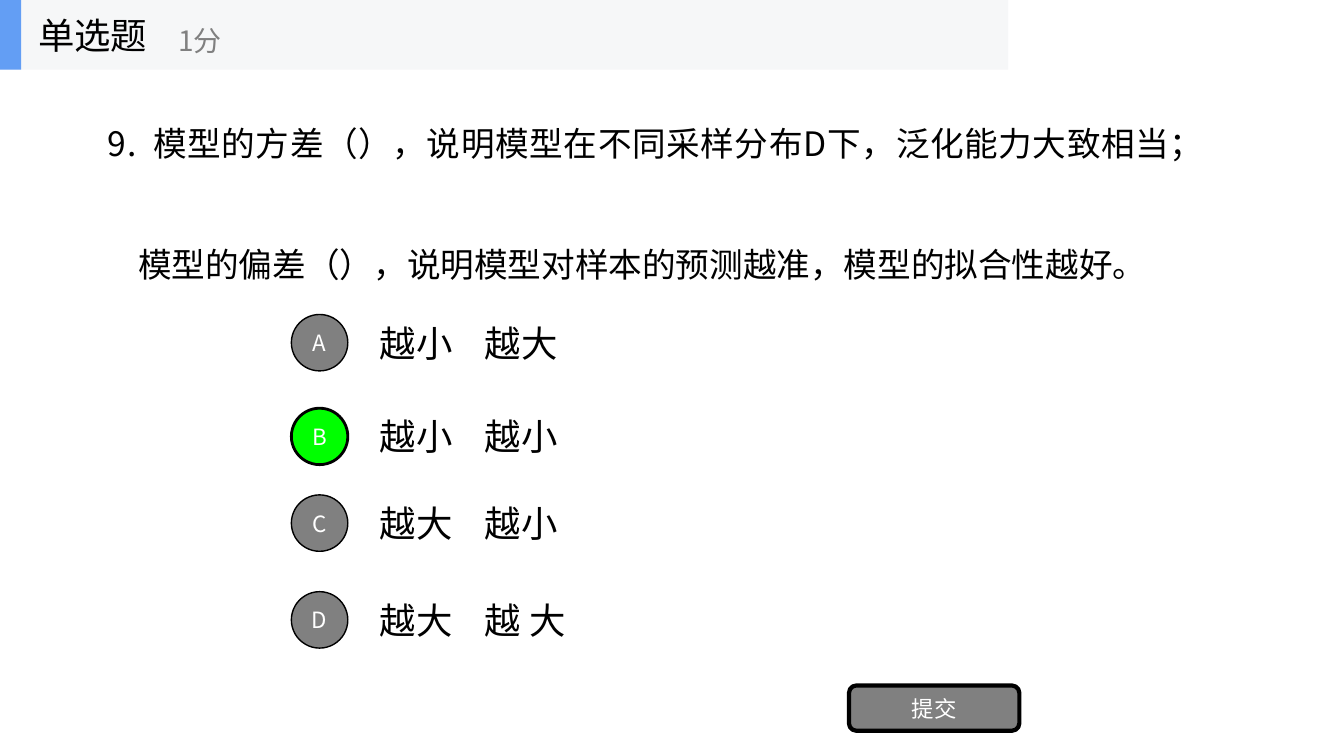
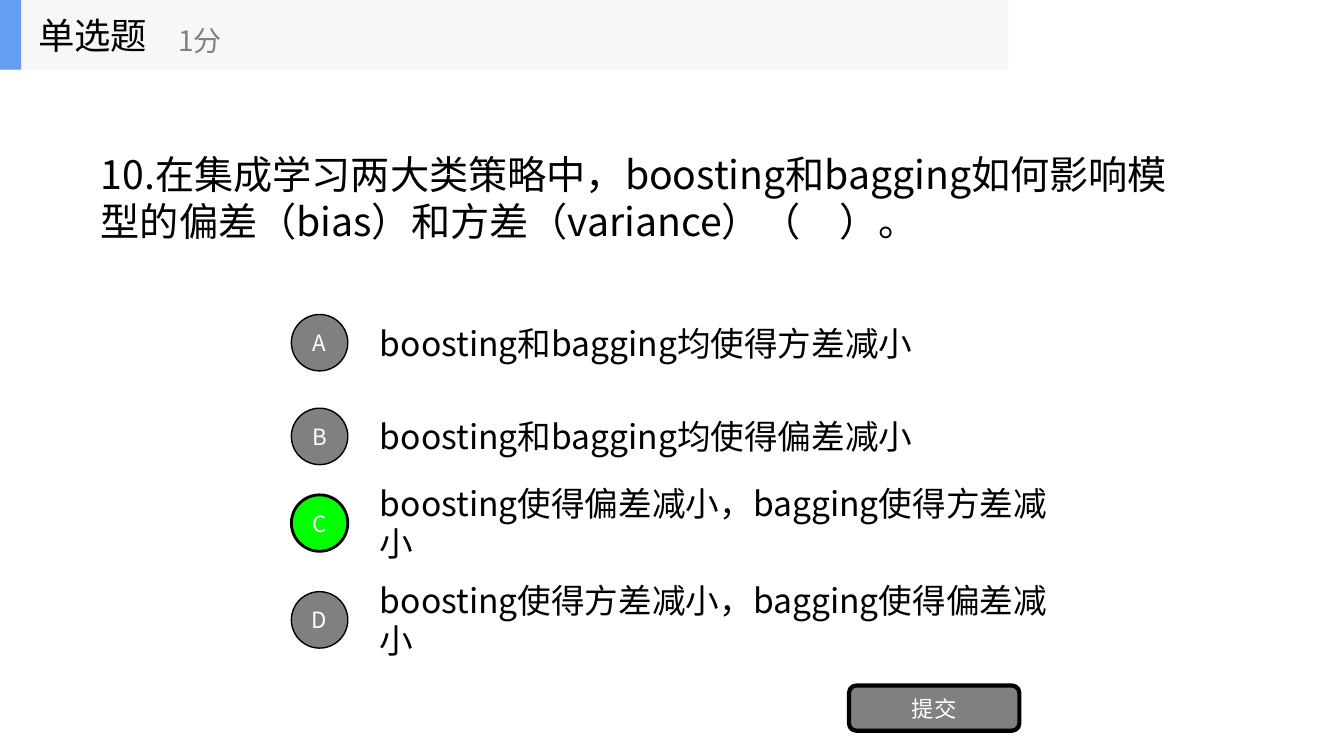
from pptx import Presentation
from pptx.dml.color import RGBColor
from pptx.enum import shapes, text
from pptx.oxml.ns import qn
from pptx.util import Inches, Pt
from lxml import etree

FONT = "Noto Sans CJK SC"
BLACK = RGBColor(0x00, 0x00, 0x00)
WHITE = RGBColor(0xFF, 0xFF, 0xFF)
GRAY = RGBColor(0x80, 0x80, 0x80)
CORRECT_GREEN = RGBColor(0x00, 0xFF, 0x00)
BAND_GRAY = RGBColor(0xF6, 0xF7, 0xF8)
ACCENT_BLUE = RGBColor(0x63, 0x9E, 0xF4)

TITLE_ONLY = 5
BAND_HEIGHT = 0.69
OPTION_MIDDLES = (3.4, 4.33, 5.19, 6.15)
OPTION_HEIGHT = 0.7
CIRCLE_SIZE = 0.56


class QuizDeck:
    """Holds the quiz style and the slide being built."""

    def __init__(self):
        self.presentation = Presentation()
        self.presentation.slide_width = Inches(13.33)
        self.presentation.slide_height = Inches(7.5)
        self.slide = None

    def new_slide(self):
        layout = self.presentation.slide_layouts[TITLE_ONLY]
        self.slide = self.presentation.slides.add_slide(layout)

    def add_words(self, paragraph, words, size, color=BLACK,
                  align=text.PP_ALIGN.LEFT, tab=None, spacing=0):
        """Add one run; tab is a stop in inches, spacing is in points."""
        paragraph.alignment = align
        if tab:
            tab_list = etree.SubElement(paragraph._p.get_or_add_pPr(), qn("a:tabLst"))
            etree.SubElement(tab_list, qn("a:tab"), pos=str(Inches(tab)), algn="l")
        run = paragraph.add_run()
        run.text = words
        run.font.size = Pt(size)
        run.font.color.rgb = color
        run.font.name = FONT
        properties = run.font._element
        east_asian = etree.Element(qn("a:ea"), typeface=FONT)
        properties.find(qn("a:latin")).addnext(east_asian)
        if spacing:
            properties.set("spc", str(round(spacing * 100)))

    def prepare_frame(self, shape):
        frame = shape.text_frame
        frame.word_wrap = True
        frame.auto_size = text.MSO_AUTO_SIZE.NONE
        frame.vertical_anchor = text.MSO_ANCHOR.MIDDLE
        return frame

    def label(self, box, words, size, color=BLACK, tab=None):
        shape = self.slide.shapes.add_textbox(*map(Inches, box))
        frame = self.prepare_frame(shape)
        self.add_words(frame.paragraphs[0], words, size, color, tab=tab)

    def block(self, kind, box, fill, line_width=0, words=""):
        shape = self.slide.shapes.add_shape(kind, *map(Inches, box))
        shape.shadow.inherit = False
        shape.fill.solid()
        shape.fill.fore_color.rgb = fill
        if line_width:
            shape.line.color.rgb = BLACK
            shape.line.width = Pt(line_width)
        else:
            shape.line.fill.background()
        if words:
            frame = self.prepare_frame(shape)
            self.add_words(frame.paragraphs[0], words, 16, WHITE, text.PP_ALIGN.CENTER)

    def question(self, box, size, lines):
        """Fill the title; each line is (words, indent, options for add_words)."""
        title = self.slide.shapes.title
        title.left, title.top, title.width, title.height = map(Inches, box)
        frame = self.prepare_frame(title)
        for index, (words, indent, options) in enumerate(lines):
            paragraph = frame.add_paragraph() if index else frame.paragraphs[0]
            if index:
                paragraph.space_before = Pt(58)
            if indent:
                paragraph._p.get_or_add_pPr().set("marL", str(Inches(indent)))
            self.add_words(paragraph, words, size, **options)

    def options(self, answers, size, correct, tab=None):
        for letter, middle, answer in zip("ABCD", OPTION_MIDDLES, answers):
            is_correct = letter == correct
            self.label((3.67, middle - OPTION_HEIGHT / 2, 7, OPTION_HEIGHT),
                       answer, size, tab=tab)
            self.block(shapes.MSO_SHAPE.OVAL,
                       (2.89, middle - CIRCLE_SIZE / 2, CIRCLE_SIZE, CIRCLE_SIZE),
                       CORRECT_GREEN if is_correct else GRAY,
                       2 if is_correct else 1, letter)

    def submit_button(self):
        self.block(shapes.MSO_SHAPE.ROUNDED_RECTANGLE, (8.42, 6.8, 1.69, 0.45),
                   GRAY, 3, "提交")

    def header(self):
        self.block(shapes.MSO_SHAPE.RECTANGLE, (0, 0, 10, BAND_HEIGHT), BAND_GRAY)
        self.block(shapes.MSO_SHAPE.RECTANGLE, (0, 0, 0.21, BAND_HEIGHT), ACCENT_BLUE)
        self.label((0.28, 0, 2.08, BAND_HEIGHT), "单选题", 26)
        self.label((1.67, 0.12, 2.5, 0.56), "1分", 20, GRAY)

    def quiz(self, question, options):
        self.new_slide()
        self.question(**question)
        self.options(**options)
        self.submit_button()
        self.header()


def main():
    deck = QuizDeck()
    deck.quiz(
        question=dict(box=(0.97, 0.85, 11.3, 2.34), size=24, lines=[
            ("9.\t模型的方差（），说明模型在不同采样分布D下，泛化能力大致相当；",
             0, dict(tab=0.45, spacing=0.45)),
            ("模型的偏差（），说明模型对样本的预测越准，模型的拟合性越好。", 0.3, {}),
        ]),
        options=dict(size=26, correct="B", tab=1.04, answers=[
            "越小\t越大", "越小\t越小", "越大\t越小", "越大\t越 大"]),
    )
    deck.quiz(
        question=dict(box=(0.9, 0.79, 11.12, 2.34), size=28, lines=[
            ("10.在集成学习两大类策略中，boosting和bagging如何影响"
             "模型的偏差（bias）和方差（variance）（　）。", 0, {}),
        ]),
        options=dict(size=24, correct="C", answers=[
            "boosting和bagging均使得方差减小",
            "boosting和bagging均使得偏差减小",
            "boosting使得偏差减小，bagging使得方差减小",
            "boosting使得方差减小，bagging使得偏差减小"]),
    )
    deck.presentation.save("out.pptx")


if __name__ == "__main__":
    main()
